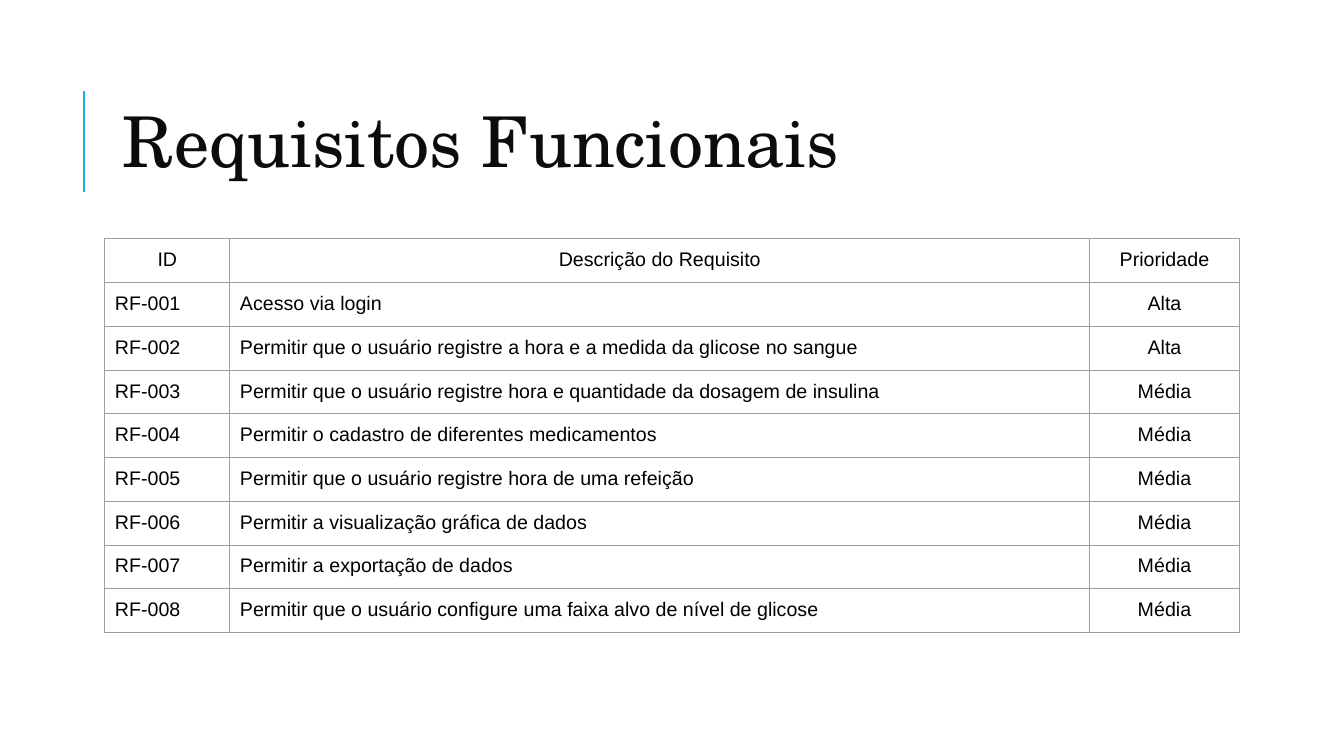
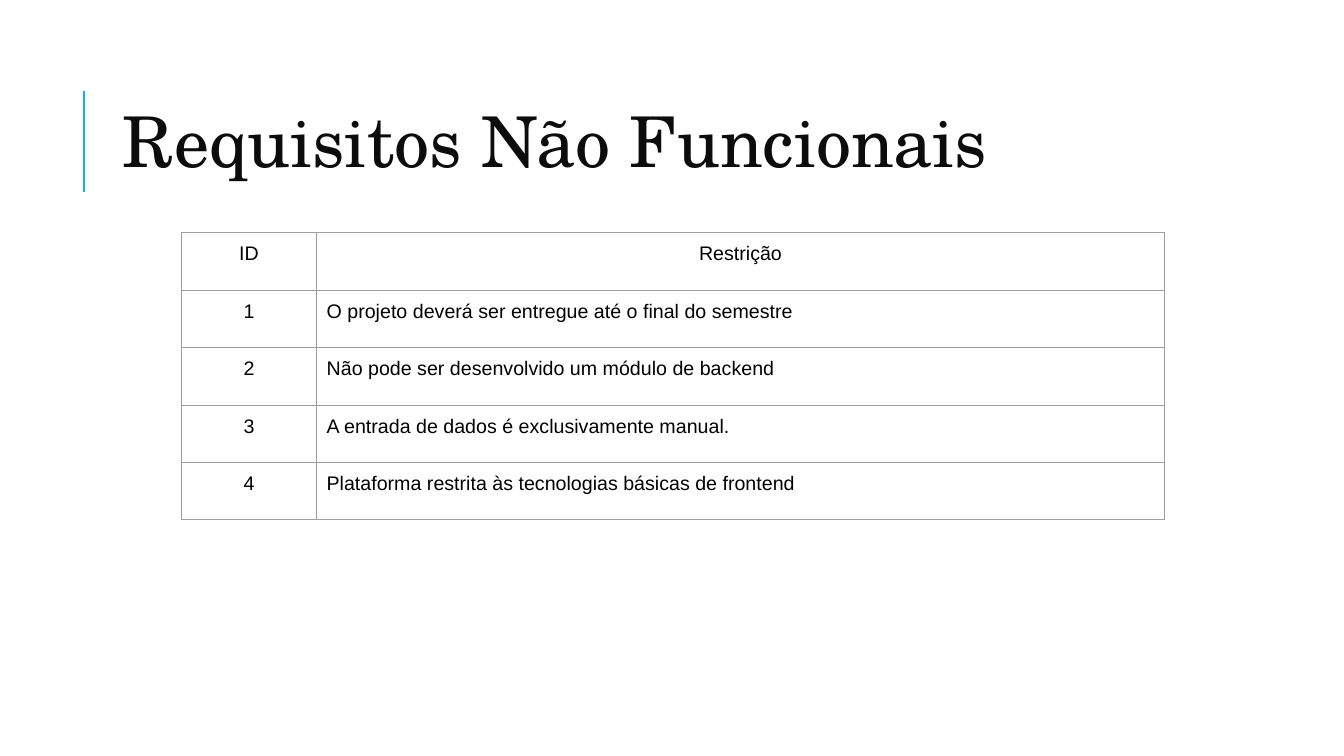
from lxml import etree
from pptx import Presentation
from pptx.dml.color import RGBColor
from pptx.enum.shapes import MSO_CONNECTOR
from pptx.enum.text import MSO_ANCHOR, PP_ALIGN
from pptx.oxml.ns import qn
from pptx.util import Inches, Pt

LINE = MSO_CONNECTOR.STRAIGHT
MIDDLE = MSO_ANCHOR.MIDDLE
LEFT, CENTER = PP_ALIGN.LEFT, PP_ALIGN.CENTER

# Shared look
ACCENT, INK, BLACK, GRID = "1CADE4", "0C0C0C", "000000", "9E9E9E"
HEAD_FONT, BODY_FONT = "TeX Gyre Schola", "Arial"
HEAD_BOX = (1.12, 0.64, 10.63, 1.64)

NEEDS = [
    ("ID", "Descrição do Requisito", "Prioridade"),
    ("RF-001", "Acesso via login", "Alta"),
    ("RF-002", "Permitir que o usuário registre a hora e a medida da glicose no sangue", "Alta"),
    ("RF-003", "Permitir que o usuário registre hora e quantidade da dosagem de insulina", "Média"),
    ("RF-004", "Permitir o cadastro de diferentes medicamentos", "Média"),
    ("RF-005", "Permitir que o usuário registre hora de uma refeição", "Média"),
    ("RF-006", "Permitir a visualização gráfica de dados", "Média"),
    ("RF-007", "Permitir a exportação de dados", "Média"),
    ("RF-008", "Permitir que o usuário configure uma faixa alvo de nível de glicose", "Média"),
]
LIMITS = [
    ("ID", "Restrição"),
    ("1", "O projeto deverá ser entregue até o final do semestre"),
    ("2", "Não pode ser desenvolvido um módulo de backend"),
    ("3", "A entrada de dados é exclusivamente manual."),
    ("4", "Plataforma restrita às tecnologias básicas de frontend"),
]


def color(code):
    return RGBColor.from_string(code)


def style(para, face, size, code):
    para.font.name = face
    para.font.size = Pt(size)
    para.font.color.rgb = color(code)


def add_title(slide, text, box):
    left, top, width, height = box
    # Accent rule left of the title
    x = Inches(left - 0.29)
    rule = slide.shapes.add_connector(LINE, x, Inches(top + 1.26), x, Inches(top + 0.26))
    rule.line.color.rgb = color(ACCENT)
    rule.line.width = Pt(1.5)
    etree.SubElement(rule._element.spPr, qn("a:effectLst"))
    # Title text
    frame = slide.shapes.add_textbox(
        Inches(left), Inches(top), Inches(width), Inches(height)).text_frame
    frame.word_wrap = True
    frame.vertical_anchor = MIDDLE
    para = frame.paragraphs[0]
    para.text = text
    para.line_spacing = 0.8
    style(para, HEAD_FONT, 50, INK)


def add_border(cell):
    props = cell._tc.get_or_add_tcPr()
    for side in ("a:lnL", "a:lnR", "a:lnT", "a:lnB"):
        edge = etree.SubElement(props, qn(side), w=str(Pt(0.75)))
        fill = etree.SubElement(edge, qn("a:solidFill"))
        etree.SubElement(fill, qn("a:srgbClr"), val=GRID)


def fill_cell(cell, text, align):
    cell.margin_left = cell.margin_right = Inches(0.1)
    cell.margin_top = cell.margin_bottom = Inches(0.1)
    add_border(cell)
    cell.fill.background()
    para = cell.text_frame.paragraphs[0]
    para.text = text
    para.alignment = align
    style(para, BODY_FONT, 14, BLACK)


def add_grid(slide, rows, left, top, widths, height, aligns):
    table = slide.shapes.add_table(
        len(rows), len(widths), Inches(left), Inches(top),
        Inches(sum(widths)), Inches(height * len(rows))).table
    table.first_row = table.horz_banding = False
    for col, width in zip(table.columns, widths):
        col.width = Inches(width)
    for r, row in enumerate(rows):
        table.rows[r].height = Inches(height)
        for c, text in enumerate(row):
            # Header cells are always centred
            fill_cell(table.cell(r, c), text, aligns[c] if r else CENTER)


def add_page(deck, title, *grid):
    slide = deck.slides.add_slide(deck.slide_layouts[6])
    add_title(slide, title, HEAD_BOX)
    add_grid(slide, *grid)


def main():
    deck = Presentation()
    deck.slide_width, deck.slide_height = Inches(13.33), Inches(7.5)
    add_page(deck, "Requisitos Funcionais", NEEDS,
             1.04, 2.37, (1.24, 8.53, 1.48), 0.42, (LEFT, LEFT, CENTER))
    add_page(deck, "Requisitos Não Funcionais", LIMITS,
             1.8, 2.31, (1.34, 8.41), 0.57, (CENTER, LEFT))
    deck.save("out.pptx")


if __name__ == "__main__":
    main()
